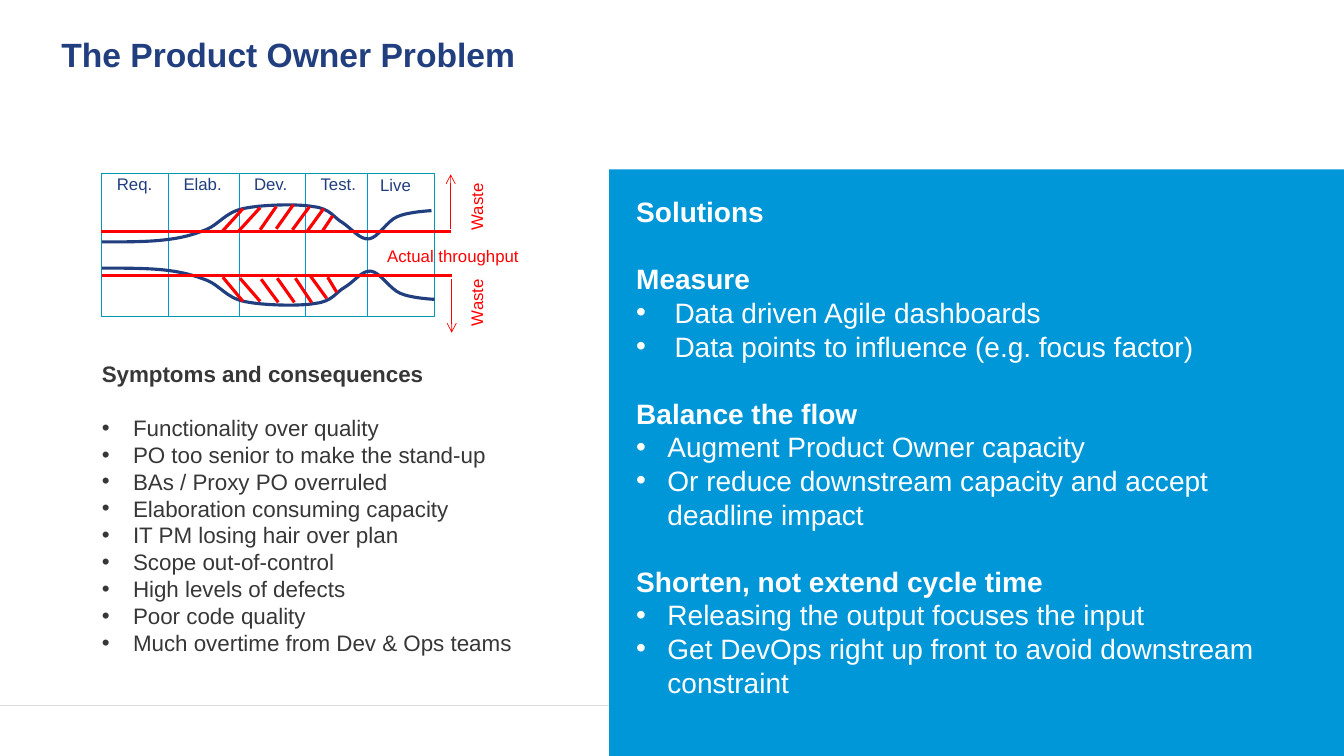
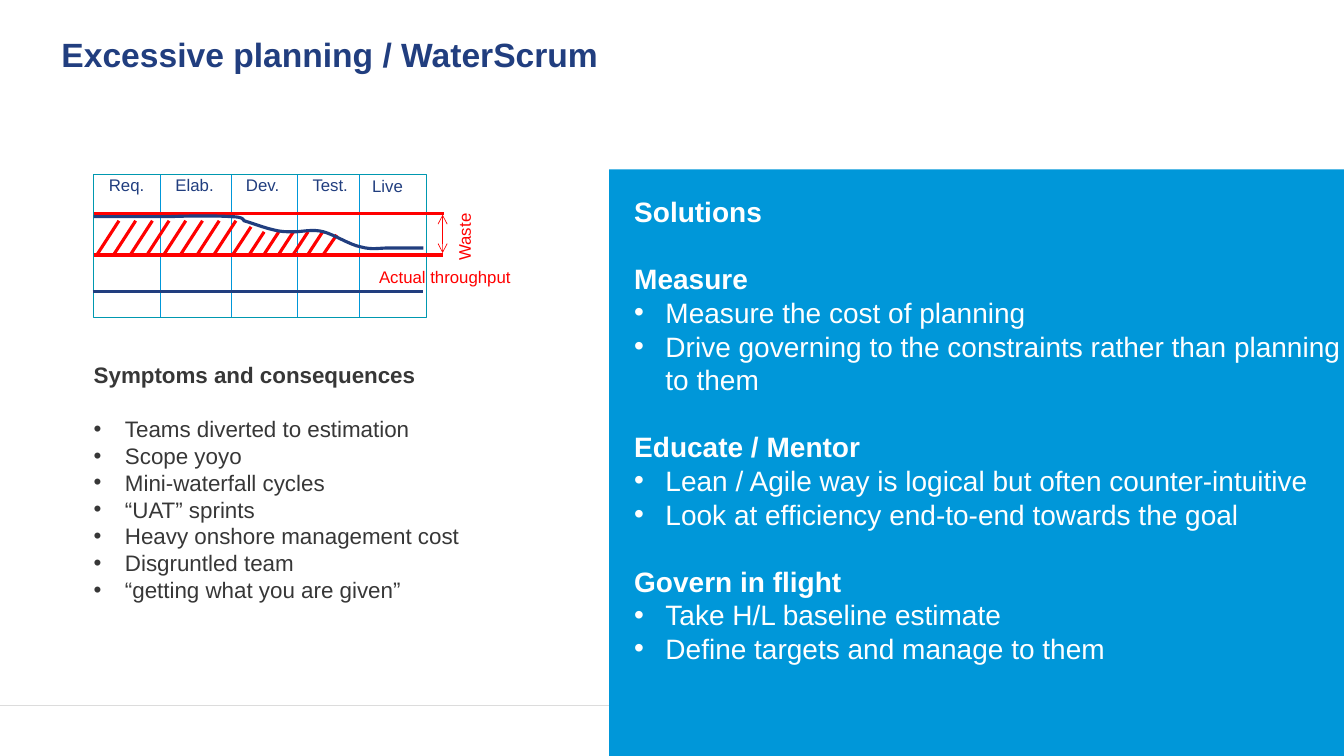
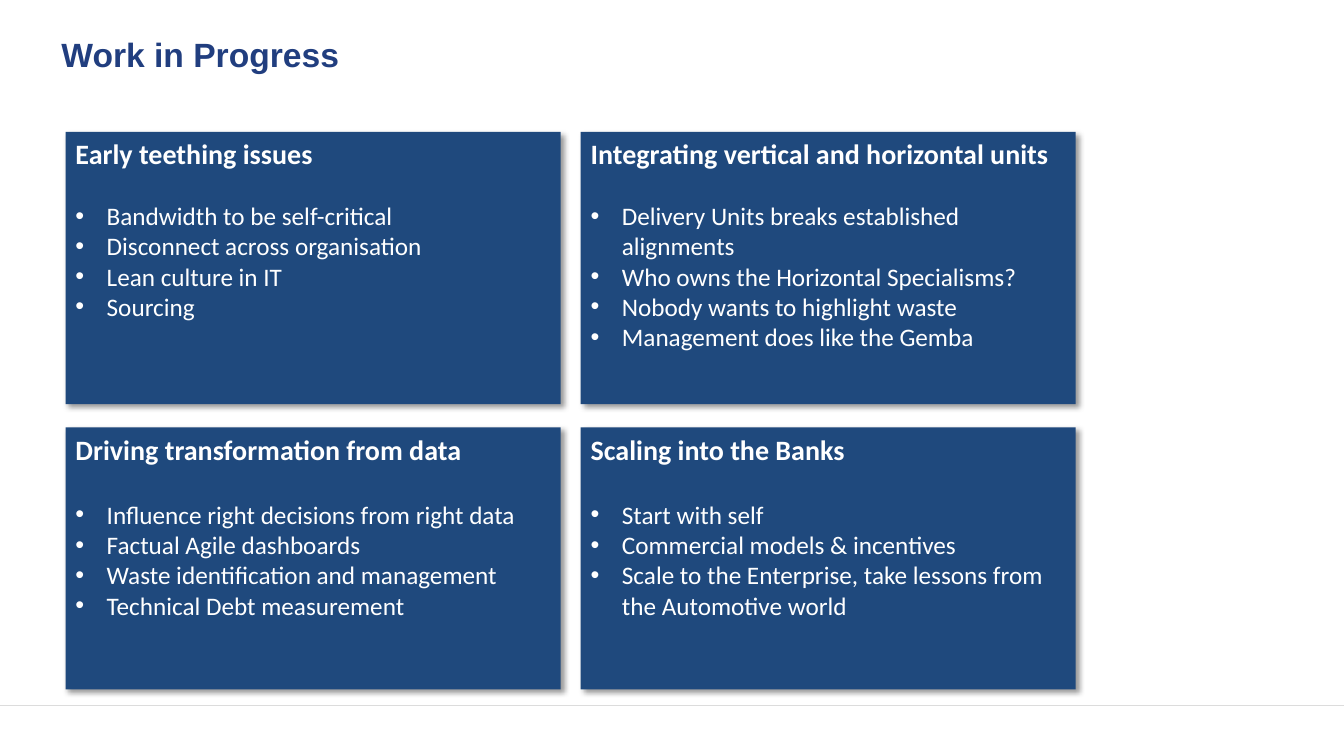
from pptx import Presentation
from pptx.dml.color import RGBColor
from pptx.enum.shapes import MSO_CONNECTOR, MSO_SHAPE
from pptx.enum.text import MSO_ANCHOR, PP_ALIGN
from pptx.oxml import parse_xml
from pptx.oxml.ns import nsdecls
from pptx.util import Inches, Pt

HUES = {
    "navy": "213E7F", "blue": "0097D9", "teal": "0098B0", "red": "FF0000",
    "ink": "373737", "white": "FFFFFF", "card": "1F497D", "rule": "DCDCDC",
}
STAGES = [("Req.", 0.15, 0.01, 0.36), ("Elab.", 0.81, 0.01, 0.39),
          ("Dev.", 1.51, 0.01, 0.36), ("Test.", 2.17, 0.01, 0.37),
          ("Live", 2.76, 0.02, 0.32)]
SPLITS = [0.66, 1.36, 2.02, 2.63]


def node(tag, attrs="", inner=""):
    return parse_xml(f"<a:{tag} {nsdecls('a')} {attrs}>{inner}</a:{tag}>")


def hue(name):
    return RGBColor.from_string(HUES[name])


def write(frame, text, size=12, font="Arial", color="navy", bold=False,
          gap=0, indent=0, pitch=None):
    first = frame.paragraphs[0]
    para = frame.add_paragraph() if first.runs else first
    para.alignment = PP_ALIGN.LEFT
    if indent:
        props = para._p.get_or_add_pPr()
        props.set("marL", str(Inches(indent)))
        props.set("indent", str(-Inches(indent)))
        props.append(node("buFont", 'typeface="Arial"'))
        props.append(node("buChar", 'char="•"'))
    if gap:
        para.space_before = Pt(gap)
    if pitch:
        para.line_spacing = Pt(pitch)
    run = para.add_run()
    run.text = text
    run.font.size = Pt(size)
    run.font.name = font
    run.font.bold = bold
    run.font.color.rgb = hue(color)


class Deck:
    def __init__(self):
        self.show = Presentation()
        self.show.slide_width = Inches(13.33)
        self.show.slide_height = Inches(7.5)

    def start(self, title):
        page = self.show.slides.add_slide(self.show.slide_layouts[6])
        self.shapes = page.shapes
        self.line(0, 7, 13.33, 7, "rule", 0.75)
        frame = self.frame(0.61, 0.41, 9.77, 0.43, pad=(0, 0.05, 0.1, 0.05))
        write(frame, title, size=24, bold=True, pitch=19.9)

    def frame(self, x, y, w, h, wrap=True, pad=(0, 0, 0, 0), turn=0):
        box = self.shapes.add_textbox(Inches(x), Inches(y), Inches(w), Inches(h))
        box.rotation = turn
        frame = box.text_frame
        frame.word_wrap = wrap
        (frame.margin_left, frame.margin_top,
         frame.margin_right, frame.margin_bottom) = map(Inches, pad)
        return frame

    def label(self, text, x, y, w, color="navy", turn=0):
        write(self.frame(x, y, w, 0.2, wrap=False, turn=turn), text, color=color)

    def line(self, x1, y1, x2, y2, color="red", width=2.25, ends=()):
        link = self.shapes.add_connector(
            MSO_CONNECTOR.STRAIGHT, Inches(x1), Inches(y1), Inches(x2), Inches(y2))
        link.line.color.rgb = hue(color)
        link.line.width = Pt(width)
        for end in ends:
            link.line._get_or_add_ln().append(node(end, 'type="arrow"'))
        link._element.spPr.append(node("effectLst"))

    def rect(self, x, y, w, h, fill=None, edge=None):
        shape = self.shapes.add_shape(
            MSO_SHAPE.RECTANGLE, Inches(x), Inches(y), Inches(w), Inches(h))
        shape.shadow.inherit = False
        if fill:
            shape.fill.solid()
            shape.fill.fore_color.rgb = hue(fill)
        else:
            shape.fill.background()
        if edge:
            shape.line.color.rgb = hue(edge)
            shape.line.width = Pt(1)
        else:
            shape.line.fill.background()
        return shape

    def curve(self, start, bends):
        dots = [(Inches(x), Inches(y)) for bend in bends for x, y in bend]
        pen = self.shapes.build_freeform(Inches(start[0]), Inches(start[1]))
        pen.add_line_segments(dots, close=False)
        shape = pen.convert_to_shape()
        legs = shape._element.xpath(".//a:lnTo")
        for spot in range(0, len(legs), 3):
            bend = node("cubicBezTo")
            legs[spot].addprevious(bend)
            for leg in legs[spot:spot + 3]:
                bend.append(leg[0])
                leg.getparent().remove(leg)
        shape.shadow.inherit = False
        shape.fill.background()
        shape.line.color.rgb = hue("navy")
        shape.line.width = Pt(2.25)

    def grid(self, x, y):
        for text, dx, dy, w in STAGES:
            self.label(text, x + dx, y + dy - 0.01, w)
        for dx in SPLITS:
            self.line(x + dx, y, x + dx, y + 1.42, "blue", 0.5)
        self.rect(x, y, 3.3, 1.42, edge="teal")

    def waste(self, x, y):
        self.label("Waste", x, y, 0.47, "red", 270)

    def notes(self, x, y, items):
        frame = self.frame(x, y, 5.03, 2.96)
        style = {"size": 16, "color": "ink"}
        write(frame, "Symptoms and consequences", bold=True, **style)
        for spot, item in enumerate(items):
            write(frame, item, indent=0.31, gap=0 if spot else 19.6, **style)

    def panel(self, x, w, blocks):
        self.rect(6.04, 1.68, 7.29, 5.82, "blue")
        frame = self.frame(x, 1.93, w, 5.05)
        style = {"size": 20, "color": "white"}
        write(frame, "Solutions", bold=True, **style)
        for head, indent, items in blocks:
            write(frame, head, bold=True, gap=24, **style)
            for item in items:
                write(frame, item, indent=indent, **style)

    def card(self, x, y, h, gap, head, items):
        shape = self.rect(x, y, 4.91, h, "card")
        props = shape._element.spPr
        props.remove(props.find(node("effectLst").tag))
        props.append(node("effectLst", "", (
            '<a:outerShdw blurRad="50800" dist="38100" dir="2700000" algn="tl" '
            'rotWithShape="0"><a:srgbClr val="000000"><a:alpha val="40000"/>'
            '</a:srgbClr></a:outerShdw>')))
        frame = shape.text_frame
        frame.word_wrap = True
        frame.vertical_anchor = MSO_ANCHOR.TOP
        style = {"font": "Calibri", "color": "white"}
        write(frame, head, size=20, bold=True, **style)
        for spot, item in enumerate(items):
            write(frame, item, size=18, indent=0.31, gap=0 if spot else gap, **style)


def owner(deck):
    deck.start("The Product Owner Problem")
    deck.grid(1.01, 1.72)
    deck.curve((1.01, 2.4), [
        ((1.24, 2.4), (1.46, 2.4), (1.63, 2.38)),
        ((1.81, 2.36), (1.91, 2.33), (2.04, 2.28)),
        ((2.17, 2.23), (2.23, 2.11), (2.41, 2.07)),
        ((2.59, 2.03), (2.95, 2.02), (3.11, 2.05)),
        ((3.28, 2.07), (3.31, 2.16), (3.4, 2.21)),
        ((3.49, 2.27), (3.57, 2.38), (3.66, 2.37)),
        ((3.75, 2.36), (3.84, 2.19), (3.94, 2.15)),
        ((4.05, 2.1), (4.28, 2.09), (4.28, 2.09)),
    ])
    deck.curve((1.01, 2.66), [
        ((1.24, 2.66), (1.47, 2.66), (1.64, 2.68)),
        ((1.81, 2.7), (1.92, 2.73), (2.05, 2.78)),
        ((2.18, 2.83), (2.24, 2.95), (2.42, 2.99)),
        ((2.6, 3.03), (2.97, 3.04), (3.13, 3.01)),
        ((3.3, 2.99), (3.33, 2.9), (3.42, 2.85)),
        ((3.52, 2.79), (3.59, 2.68), (3.68, 2.69)),
        ((3.77, 2.7), (3.87, 2.87), (3.97, 2.91)),
        ((4.08, 2.96), (4.31, 2.97), (4.31, 2.97)),
    ])
    for ends in [
        (1, 2.3, 4.47, 2.3), (1.01, 2.73, 4.48, 2.73),
        (2.41, 2.07, 2.2, 2.3), (2.58, 2.06, 2.37, 2.29),
        (2.74, 2.05, 2.58, 2.28), (2.91, 2.03, 2.74, 2.27),
        (3.07, 2.05, 2.9, 2.28), (3.21, 2.07, 3.05, 2.29),
        (3.3, 2.14, 3.2, 2.29),
        (2.41, 2.99, 2.21, 2.75), (2.58, 2.99, 2.38, 2.76),
        (2.76, 3, 2.59, 2.77), (2.92, 3, 2.75, 2.76),
        (3.09, 3, 2.93, 2.76), (3.24, 2.96, 3.08, 2.74),
        (3.34, 2.9, 3.25, 2.75),
    ]:
        deck.line(*ends)
    deck.line(4.47, 2.27, 4.47, 1.73, width=0.5, ends=["tailEnd"])
    deck.line(4.48, 2.77, 4.48, 3.3, width=0.5, ends=["tailEnd"])
    deck.waste(4.49, 1.95)
    deck.waste(4.49, 2.9)
    deck.label("Actual throughput", 3.84, 2.44, 1.33, "red")
    deck.notes(1.01, 3.57, [
        "Functionality over quality",
        "PO too senior to make the stand-up",
        "BAs / Proxy PO overruled",
        "Elaboration consuming capacity",
        "IT PM losing hair over plan",
        "Scope out-of-control",
        "High levels of defects",
        "Poor code quality",
        "Much overtime from Dev & Ops teams",
    ])
    deck.panel(6.31, 6.79, [
        ("Measure", 0.38, [
            "Data driven Agile dashboards",
            "Data points to influence (e.g. focus factor)"]),
        ("Balance the flow", 0.31, [
            "Augment Product Owner capacity",
            "Or reduce downstream capacity and accept deadline impact"]),
        ("Shorten, not extend cycle time", 0.31, [
            "Releasing the output focuses the input",
            "Get DevOps right up front to avoid downstream constraint"]),
    ])


def scrum(deck):
    deck.start("Excessive planning / WaterScrum")
    deck.grid(0.93, 1.73)
    deck.line(0.93, 2.12, 4.4, 2.12)
    deck.line(0.93, 2.53, 4.39, 2.53)
    deck.line(0.92, 2.89, 4.2, 2.89, "navy")
    for spot in range(8):
        x = 1.18 + spot * 1.16 / 7
        deck.line(x, 2.19, x - 0.22, 2.53)
    for spot in range(5):
        x = 2.62 + spot * 0.145
        deck.line(x, 2.3, x - 0.15, 2.53)
    deck.line(2.49, 2.25, 2.3, 2.54)
    deck.line(3.34, 2.33, 3.21, 2.52)
    deck.curve((0.93, 2.15), [
        ((1.18, 2.15), (1.42, 2.15), (1.67, 2.15)),
        ((1.9, 2.14), (2.17, 2.14), (2.3, 2.15)),
        ((2.42, 2.15), (2.42, 2.19), (2.42, 2.19)),
        ((2.49, 2.21), (2.62, 2.26), (2.71, 2.28)),
        ((2.79, 2.3), (2.83, 2.3), (2.92, 2.3)),
        ((3, 2.3), (3.1, 2.27), (3.21, 2.3)),
        ((3.32, 2.33), (3.47, 2.43), (3.58, 2.45)),
        ((3.69, 2.48), (3.76, 2.46), (3.86, 2.46)),
        ((3.96, 2.46), (4.2, 2.46), (4.2, 2.46)),
    ])
    deck.line(4.39, 2.51, 4.39, 2.13, width=0.5, ends=["headEnd", "tailEnd"])
    deck.waste(4.37, 2.25)
    deck.label("Actual throughput", 3.76, 2.65, 1.33, "red")
    deck.notes(0.93, 3.58, [
        "Teams diverted to estimation",
        "Scope yoyo",
        "Mini-waterfall cycles",
        "“UAT” sprints",
        "Heavy onshore management cost",
        "Disgruntled team",
        "“getting what you are given”",
    ])
    deck.panel(6.29, 7.05, [
        ("Measure", 0.31, [
            "Measure the cost of planning",
            "Drive governing to the constraints rather than planning to them"]),
        ("Educate / Mentor", 0.31, [
            "Lean / Agile way is logical but often counter-intuitive",
            "Look at efficiency end-to-end towards the goal"]),
        ("Govern in flight", 0.31, [
            "Take H/L baseline estimate",
            "Define targets and manage to them"]),
    ])


def work(deck):
    deck.start("Work in Progress")
    rows = [
        (1.31, 2.7, 21.3, [
            ("Early teething issues", [
                "Bandwidth to be self-critical",
                "Disconnect across organisation",
                "Lean culture in IT",
                "Sourcing"]),
            ("Integrating vertical and horizontal units", [
                "Delivery Units breaks established alignments",
                "Who owns the Horizontal Specialisms?",
                "Nobody wants to highlight waste",
                "Management does like the Gemba"]),
        ]),
        (4.24, 2.6, 23.7, [
            ("Driving transformation from data", [
                "Influence right decisions from right data",
                "Factual Agile dashboards",
                "Waste identification and management",
                "Technical Debt measurement"]),
            ("Scaling into the Banks", [
                "Start with self",
                "Commercial models & incentives",
                "Scale to the Enterprise, take lessons from the Automotive world"]),
        ]),
    ]
    for y, h, gap, cards in rows:
        for col, (head, items) in enumerate(cards):
            deck.card(0.65 + col * 5.11, y, h, gap, head, items)


def main():
    deck = Deck()
    owner(deck)
    scrum(deck)
    work(deck)
    deck.show.save("out.pptx")


if __name__ == "__main__":
    main()
